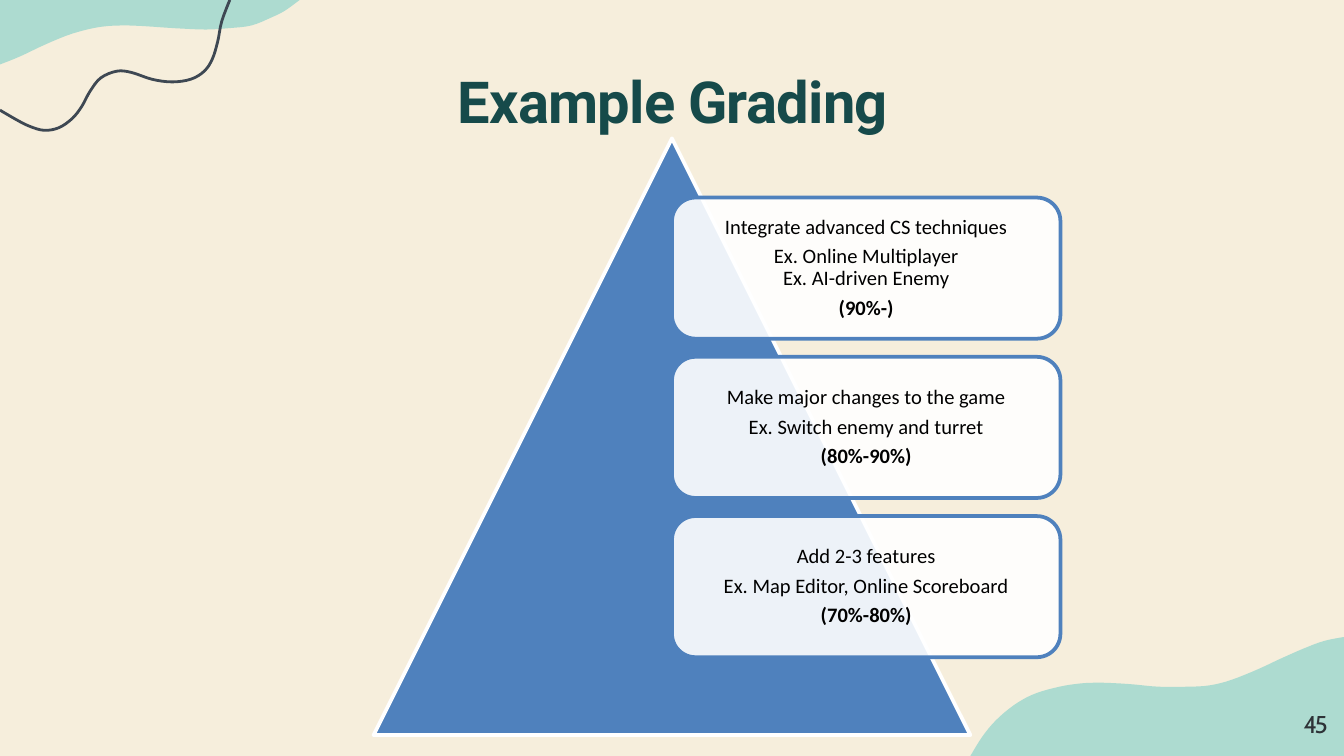
import pptx
import pptx.dml.color
import pptx.enum.shapes
import pptx.enum.text
import pptx.oxml.ns
import pptx.util
from lxml import etree
from pptx.util import Inches

COLORS = {
    "cream": "F6EEDC", "mint": "ADDBD0", "slate": "3E4853", "teal": "164A4A",
    "blue": "4F81BD", "white": "FFFFFF", "black": "000000", "number": "2E3337",
}
WIDTH = 10
HEIGHT = WIDTH * 9 / 16

TOP_WAVE = [(0, 0.48), (0.15, 0.42), (0.34, 0.33), (0.54, 0.25), (0.75, 0.2),
            (0.97, 0.19), (1.3, 0.21), (1.53, 0.22), (1.7, 0.21), (1.87, 0.19),
            (2.02, 0.13), (2.12, 0.08), (2.23, 0)]
BOTTOM_WAVE = [(7.22, HEIGHT), (7.31, 5.48), (7.41, 5.36), (7.54, 5.25), (7.68, 5.17),
               (7.84, 5.12), (8, 5.09), (8.17, 5.08), (8.4, 5.09), (8.62, 5.11),
               (8.84, 5.11), (9, 5.1), (9.16, 5.06), (9.36, 4.98), (9.51, 4.91),
               (9.69, 4.83), (9.85, 4.77), (WIDTH, 4.74)]
SQUIGGLE = [(0, 0.82), (0.12, 0.89), (0.22, 0.94), (0.33, 0.97), (0.44, 0.95),
            (0.54, 0.88), (0.61, 0.79), (0.67, 0.68), (0.75, 0.58), (0.87, 0.53),
            (0.98, 0.54), (1.13, 0.59), (1.28, 0.61), (1.42, 0.59), (1.52, 0.53),
            (1.58, 0.44), (1.62, 0.31), (1.65, 0.16), (1.71, 0)]
GRADES = [
    ("Integrate advanced CS techniques", "Ex. Online Multiplayer\nEx. AI-driven Enemy",
     "(90%-)"),
    ("Make major changes to the game", "Ex. Switch enemy and turret", "(80%-90%)"),
    ("Add 2-3 features", "Ex. Map Editor, Online Scoreboard", "(70%-80%)"),
]


def color(name):
    return pptx.dml.color.RGBColor.from_string(COLORS[name])


def smooth(points, steps=4):
    """Return points along a Catmull-Rom curve through the given points."""
    padded = [points[0], *points, points[-1]]
    curve = []
    for a, b, c, d in zip(padded, padded[1:], padded[2:], padded[3:]):
        for step in range(steps):
            t = step / steps
            curve.append(tuple(
                q + t * (r - p) / 2 + t**2 * (2 * p - 5 * q + 4 * r - s) / 2
                + t**3 * (3 * q - p - 3 * r + s) / 2
                for p, q, r, s in zip(a, b, c, d)))
    return curve + [points[-1]]


def paint(shape, fill=None, line=None, weight=2):
    shape.shadow.inherit = False
    if fill:
        shape.fill.solid()
        shape.fill.fore_color.rgb = color(fill)
    else:
        shape.fill.background()
    if line:
        shape.line.color.rgb = color(line)
        shape.line.width = pptx.util.Pt(weight)
    else:
        shape.line.fill.background()


def add_outline(page, points, closed):
    start, *rest = [(Inches(x), Inches(y)) for x, y in points]
    builder = page.shapes.build_freeform(*start)
    builder.add_line_segments(rest, close=closed)
    return builder.convert_to_shape()


def add_wave(page, points, corner):
    paint(add_outline(page, smooth(points) + [corner], True), fill="mint")


def set_margins(frame, margin):
    frame.margin_left = frame.margin_right = Inches(margin)
    frame.margin_top = frame.margin_bottom = Inches(margin)


def set_font(para, name, size, color_name, bold=False):
    para.font.name = name
    para.font.size = pptx.util.Pt(size)
    para.font.color.rgb = color(color_name)
    para.font.bold = bold


def set_tracking(para, points):
    for span in para.runs:
        span._r.get_or_add_rPr().set("spc", str(round(points * 100)))


def add_title(page, text):
    title = page.shapes.title
    title.left, title.top = Inches(1.67), Inches(0.48)
    title.width, title.height = Inches(6.67), Inches(0.54)
    frame = title.text_frame
    frame.text = text
    frame.auto_size = pptx.enum.text.MSO_AUTO_SIZE.NONE
    frame.vertical_anchor = pptx.enum.text.MSO_ANCHOR.TOP
    set_margins(frame, 0)
    frame.margin_top = Inches(0.01)
    para = frame.paragraphs[0]
    para.alignment = pptx.enum.text.PP_ALIGN.CENTER
    para.space_before = pptx.util.Pt(1)
    set_font(para, "Roboto", 31, "teal", bold=True)
    set_tracking(para, -0.4)


def add_page_number(page, text):
    box = page.shapes.add_textbox(Inches(9.62), Inches(5.28), Inches(0.29), Inches(0.24))
    frame = box.text_frame
    frame.word_wrap = True
    set_margins(frame, 0)
    frame.margin_left = Inches(0.08)
    para = frame.paragraphs[0]
    para.text = text
    set_font(para, "Cabin", 13, "number")
    set_tracking(para, -1.4)


def add_pyramid(page):
    pyramid = page.shapes.add_shape(
        pptx.enum.shapes.MSO_SHAPE.ISOSCELES_TRIANGLE,
        Inches(2.78), Inches(1.03), Inches(4.44), Inches(4.44))
    paint(pyramid, "blue", "white")


def add_grade(page, top, lines):
    """Add a translucent card whose last line, the grade range, is bold."""
    card = page.shapes.add_shape(
        pptx.enum.shapes.MSO_SHAPE.ROUNDED_RECTANGLE,
        Inches(5), Inches(top), Inches(2.89), Inches(1.05))
    paint(card, "white", "blue")
    tint = card.fill._xPr.find(".//" + pptx.oxml.ns.qn("a:srgbClr"))
    etree.SubElement(tint, pptx.oxml.ns.qn("a:alpha"), val="90000")
    frame = card.text_frame
    frame.word_wrap = True
    frame.vertical_anchor = pptx.enum.text.MSO_ANCHOR.MIDDLE
    set_margins(frame, 0.05)
    frame.text = "\n".join(line.replace("\n", "\v") for line in lines)
    for para in frame.paragraphs:
        para.alignment = pptx.enum.text.PP_ALIGN.CENTER
        para.line_spacing = 0.9
        para.space_after = pptx.util.Pt(3.85)
        set_font(para, "Calibri", 11, "black", bold=para.text == lines[-1])


def main():
    deck = pptx.Presentation()
    deck.slide_width, deck.slide_height = Inches(WIDTH), Inches(HEIGHT)
    page = deck.slides.add_slide(deck.slide_layouts[5])
    page.background.fill.solid()
    page.background.fill.fore_color.rgb = color("cream")

    add_wave(page, TOP_WAVE, (0, 0))
    add_wave(page, BOTTOM_WAVE, (WIDTH, HEIGHT))
    paint(add_outline(page, smooth(SQUIGGLE), False), line="slate", weight=1.5)
    add_title(page, "Example Grading")
    add_page_number(page, "45")
    add_pyramid(page)
    for index, lines in enumerate(GRADES):
        add_grade(page, 1.47 + index * 1.185, lines)
    deck.save("out.pptx")


if __name__ == "__main__":
    main()
